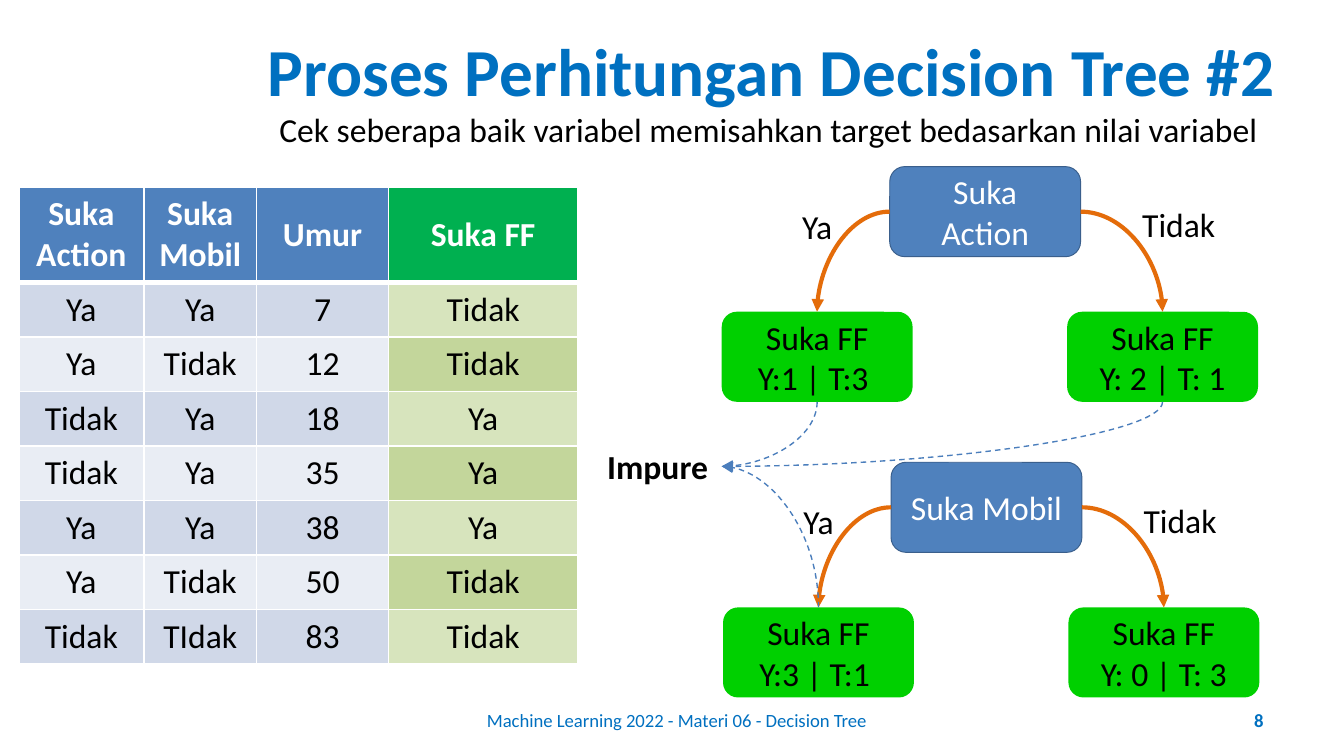
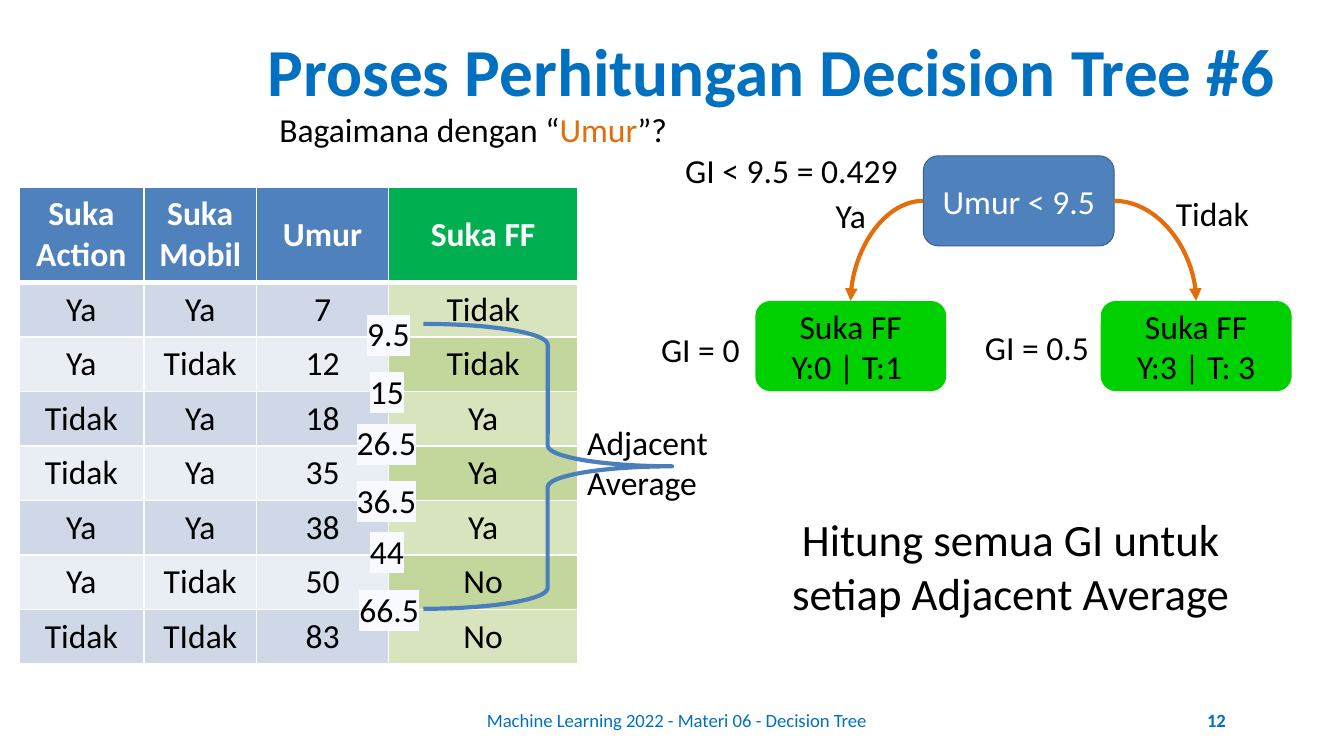
from dataclasses import dataclass

from lxml import etree
from pptx import Presentation
from pptx.dml.color import RGBColor
from pptx.enum.dml import MSO_LINE
from pptx.enum.shapes import MSO_CONNECTOR, MSO_SHAPE
from pptx.enum.text import MSO_ANCHOR, MSO_AUTO_SIZE, PP_ALIGN
from pptx.oxml.ns import qn
from pptx.util import Inches, Pt

LEFT, CENTER, RIGHT = PP_ALIGN.LEFT, PP_ALIGN.CENTER, PP_ALIGN.RIGHT
MIDDLE = MSO_ANCHOR.MIDDLE
ROUND_RECT, BRACE = MSO_SHAPE.ROUNDED_RECTANGLE, MSO_SHAPE.RIGHT_BRACE
CURVE, DASH = MSO_CONNECTOR.CURVE, MSO_LINE.DASH
FIT, FIXED = MSO_AUTO_SIZE.SHAPE_TO_FIT_TEXT, MSO_AUTO_SIZE.NONE


@dataclass(frozen=True)
class Theme:
    font: str = "Calibri"
    title: str = "0070C0"
    text: str = "000000"
    white: str = "FFFFFF"
    blue: str = "4F81BD"
    blue_edge: str = "3A5F8C"
    link: str = "4B7EBC"
    orange: str = "E46C0A"
    leaf: str = "00D000"
    target: str = "00B050"
    feature_bands: tuple = ("D0D8E8", "E9EDF4")
    target_bands: tuple = ("D7E4BD", "C3D69B")
    highlight: str = "F9FAFF"
    title_size: int = 36
    note_size: int = 24
    body_size: int = 18
    footer_size: int = 10


T = Theme()

FOOTER = "Machine Learning 2022 - Materi 06 - Decision Tree"
HEADERS = ("Suka Action", "Suka Mobil", "Umur", "Suka FF")
FEATURES = [
    ("Ya", "Ya", "7"),
    ("Ya", "Tidak", "12"),
    ("Tidak", "Ya", "18"),
    ("Tidak", "Ya", "35"),
    ("Ya", "Ya", "38"),
    ("Ya", "Tidak", "50"),
    ("Tidak", "TIdak", "83"),
]
COL_WIDTHS = (0.93, 0.84, 0.98, 1.41)
TABLE_AT = (0.14, 1.39, sum(COL_WIDTHS), 3.24)

SPLIT_SLIDE = {
    "title": "Proses Perhitungan Decision Tree #2",
    "lead": [("Cek seberapa baik variabel memisahkan target bedasarkan nilai variabel", T.text)],
    "lead_width": 7.51,
    "page": "8",
    "page_left": 7.8,
    "targets": ("Tidak", "Tidak", "Ya", "Ya", "Ya", "Tidak", "Tidak"),
    "trees": [
        (6.62, 1.24, "Suka Action", "Suka FF\nY:1 | T:3 ", "Suka FF\nY: 2 | T: 1"),
        (6.63, 3.44, "Suka Mobil", "Suka FF\nY:3 | T:1 ", "Suka FF\nY: 0 | T: 3"),
    ],
}
AGE_SLIDE = {
    "title": "Proses Perhitungan Decision Tree #6",
    "lead": [("Bagaimana dengan “", T.text), ("Umur", T.orange), ("”?", T.text)],
    "lead_width": 3.12,
    "page": "12",
    "page_left": 7.52,
    "targets": ("Tidak", "Tidak", "Ya", "Ya", "Ya", "No", "No"),
    "trees": [(6.87, 1.16, "Umur < 9.5", "Suka FF\nY:0 | T:1 ", "Suka FF\nY:3 | T: 3")],
}
IMPURE_AT = (4.42, 3.27, 0.96, 0.4)
IMPURE_TIP = (5.37, 3.47)
AVERAGES = [
    ("9.5", 2.63, 2.28, 0.52),
    ("15", 2.65, 2.71, 0.46),
    ("26.5", 2.55, 3.09, 0.65),
    ("36.5", 2.55, 3.52, 0.65),
    ("44", 2.65, 3.9, 0.46),
    ("66.5", 2.57, 4.33, 0.65),
]
AGE_LABELS = [
    ("Adjacent\nAverage", (4.27, 3.09, 1.11, 0.71)),
    ("GI = 0", (4.82, 2.4, 0.79, 0.4)),
    ("GI = 0.5", (7.23, 2.38, 0.99, 0.4)),
    ("GI < 9.5 = 0.429", (5, 1.07, 1.8, 0.4)),
]
NOTE = "Hitung semua GI untuk setiap Adjacent Average"

# Tree geometry, as offsets from the top left of the root box
NODE_W, NODE_H = 1.42, 0.67
LEAF_DX, LEAF_DY = (-1.25, 1.32), 1.08
BRANCH_LABELS = [("Ya", -0.75, 0.24, 0.43), ("Tidak", 1.78, 0.23, 0.75)]


def rgb(color):
    return RGBColor.from_string(color)


def inches(values):
    return [Inches(v) for v in values]


def write(tf, text, size=T.body_size, color=T.text, bold=False, align=LEFT, highlight=None):
    """Fill a text frame from a string, or from one paragraph of (text, colour) runs."""
    if isinstance(text, str):
        paragraphs = [[(line, color)] for line in text.split("\n")]
    else:
        paragraphs = [text]
    for i, runs in enumerate(paragraphs):
        p = tf.add_paragraph() if i else tf.paragraphs[0]
        p.alignment = align
        for words, run_color in runs:
            r = p.add_run()
            r.text = words
            r.font.name, r.font.size, r.font.bold = T.font, Pt(size), bold
            r.font.color.rgb = rgb(run_color)
            if highlight:
                mark = etree.Element(qn("a:highlight"))
                etree.SubElement(mark, qn("a:srgbClr"), val=highlight)
                r.font._element.find(qn("a:solidFill")).addnext(mark)


def add_label(shapes, text, at, wrap=False, fit=True, **style):
    tf = shapes.add_textbox(*inches(at)).text_frame
    write(tf, text, **style)
    tf.word_wrap = wrap
    tf.auto_size = FIT if fit else FIXED
    if not fit:
        tf.vertical_anchor = MIDDLE


def add_node(shapes, text, left, top, fill, color, edge=None):
    sp = shapes.add_shape(ROUND_RECT, *inches((left, top, NODE_W, NODE_H)))
    sp.shadow.inherit = False
    sp.fill.solid()
    sp.fill.fore_color.rgb = rgb(fill)
    if edge:
        sp.line.color.rgb = rgb(edge)
        sp.line.width = Pt(0.5)
    else:
        sp.line.fill.background()
    sp.text_frame.word_wrap = True
    sp.text_frame.vertical_anchor = MIDDLE
    write(sp.text_frame, text, color=color, align=CENTER)


def add_curve(shapes, start, end, color, width, dash=None, vertical_first=False):
    """Quarter-curve arrow; it leaves sideways unless vertical_first (leftward only)."""
    (x1, y1), (x2, y2) = start, end
    rotation = 0
    if vertical_first:
        mid_x, mid_y = (x1 + x2) / 2, (y1 + y2) / 2
        half_w, half_h = abs(y2 - y1) / 2, abs(x2 - x1) / 2
        rotation, side = (90, 1) if y2 > y1 else (270, -1)
        x1, y1 = mid_x - half_w, mid_y - side * half_h
        x2, y2 = mid_x + half_w, mid_y + side * half_h
    c = shapes.add_connector(CURVE, *inches((x1, y1, x2, y2)))
    c.line.color.rgb = rgb(color)
    c.line.width = Pt(width)
    if dash:
        c.line.dash_style = dash
    sp_pr = c._element.spPr
    sp_pr.find(qn("a:prstGeom")).set("prst", "curvedConnector2")
    if rotation:
        sp_pr.find(qn("a:xfrm")).set("rot", str(rotation * 60000))
    etree.SubElement(sp_pr.find(qn("a:ln")), qn("a:tailEnd"), type="triangle")
    etree.SubElement(sp_pr, qn("a:effectLst"))


def add_tree(slide, left, top, root, *leaves):
    """Draw a root with two leaves; return the top centre of each leaf."""
    shapes = slide.shapes.add_group_shape().shapes
    add_node(shapes, root, left, top, T.blue, T.white, T.blue_edge)
    tips = []
    for leaf, dx, side, branch in zip(leaves, LEAF_DX, (0, NODE_W), BRANCH_LABELS):
        leaf_left, leaf_top = left + dx, top + LEAF_DY
        tip = (leaf_left + NODE_W / 2, leaf_top)
        add_node(shapes, leaf, leaf_left, leaf_top, T.leaf, T.text)
        add_curve(shapes, (left + side, top + NODE_H / 2), tip, T.orange, 2.25)
        label, label_dx, label_dy, width = branch
        add_label(shapes, label, (left + label_dx, top + label_dy, width, 0.4))
        tips.append(tip)
    return tips


def set_borders(cell, top, bottom):
    tc_pr = cell._tc.get_or_add_tcPr()
    for tag, width in (("lnL", 1), ("lnR", 1), ("lnT", top), ("lnB", bottom)):
        ln = etree.SubElement(tc_pr, qn("a:" + tag), w=str(Pt(width)))
        fill = etree.SubElement(ln, qn("a:solidFill"))
        etree.SubElement(fill, qn("a:srgbClr"), val=T.white)


def add_data_table(slide, targets):
    rows = [HEADERS] + [(*f, target) for f, target in zip(FEATURES, targets)]
    table = slide.shapes.add_table(len(rows), len(HEADERS), *inches(TABLE_AT)).table
    for col, width in zip(table.columns, COL_WIDTHS):
        col.width = Inches(width)
    for i, row in enumerate(rows):
        for j, value in enumerate(row):
            is_header, is_target = i == 0, j == len(HEADERS) - 1
            if is_header:
                fill = T.target if is_target else T.blue
            else:
                fill = (T.target_bands if is_target else T.feature_bands)[(i - 1) % 2]
            cell = table.cell(i, j)
            set_borders(cell, 3 if i == 1 else 1, 3 if is_header else 1)
            cell.fill.solid()
            cell.fill.fore_color.rgb = rgb(fill)
            cell.vertical_anchor = MIDDLE
            write(cell.text_frame, value, color=T.white if is_header else T.text,
                  bold=is_header, align=CENTER)


def add_base_slide(prs, content):
    """Add the footer, title, lead line, table and trees; return slide and leaf tips."""
    slide = prs.slides.add_slide(prs.slide_layouts[5])
    footer = {"wrap": True, "fit": False, "size": T.footer_size, "color": T.title}
    add_label(slide.shapes, FOOTER, (2.55, 5.21, 4.97, 0.3), align=CENTER, **footer)
    add_label(slide.shapes, content["page"], (content["page_left"], 5.21, 1.7, 0.3),
              align=RIGHT, bold=True, **footer)
    title = slide.shapes.title
    title.left, title.top, title.width, title.height = inches((1.83, 0.28, 7.82, 0.48))
    title.text_frame.auto_size = FIXED
    title.text_frame.vertical_anchor = MIDDLE
    write(title.text_frame, content["title"], T.title_size, T.title, True, CENTER)
    add_data_table(slide, content["targets"])
    add_label(slide.shapes, content["lead"], (1.98, 0.76, content["lead_width"], 0.4))
    return slide, [add_tree(slide, *tree) for tree in content["trees"]]


def build_split_slide(prs):
    slide, (action_tips, mobil_tips) = add_base_slide(prs, SPLIT_SLIDE)
    add_label(slide.shapes, "Impure", IMPURE_AT, bold=True)
    starts = [(x, y + NODE_H) for x, y in action_tips] + mobil_tips[:1]
    for start in starts:
        add_curve(slide.shapes, start, IMPURE_TIP, T.link, 0.75, DASH, vertical_first=True)


def build_age_slide(prs):
    slide, _ = add_base_slide(prs, AGE_SLIDE)
    for value, left, top, width in AVERAGES:
        add_label(slide.shapes, value, (left, top, width, 0.4), align=CENTER,
                  highlight=T.highlight)
    brace = slide.shapes.add_shape(BRACE, *inches((3.15, 2.41, 1.85, 2.12)))
    brace.shadow.inherit = False
    brace.fill.background()
    brace.line.color.rgb = rgb(T.link)
    brace.line.width = Pt(2.25)
    for text, at in AGE_LABELS:
        add_label(slide.shapes, text, at)
    add_label(slide.shapes, NOTE, (5.76, 3.76, 3.52, 0.91), wrap=True,
              size=T.note_size, align=CENTER)


def main():
    prs = Presentation()
    prs.slide_width = Inches(10)
    prs.slide_height = prs.slide_width * 9 // 16
    build_split_slide(prs)
    build_age_slide(prs)
    prs.save("out.pptx")


if __name__ == "__main__":
    main()
